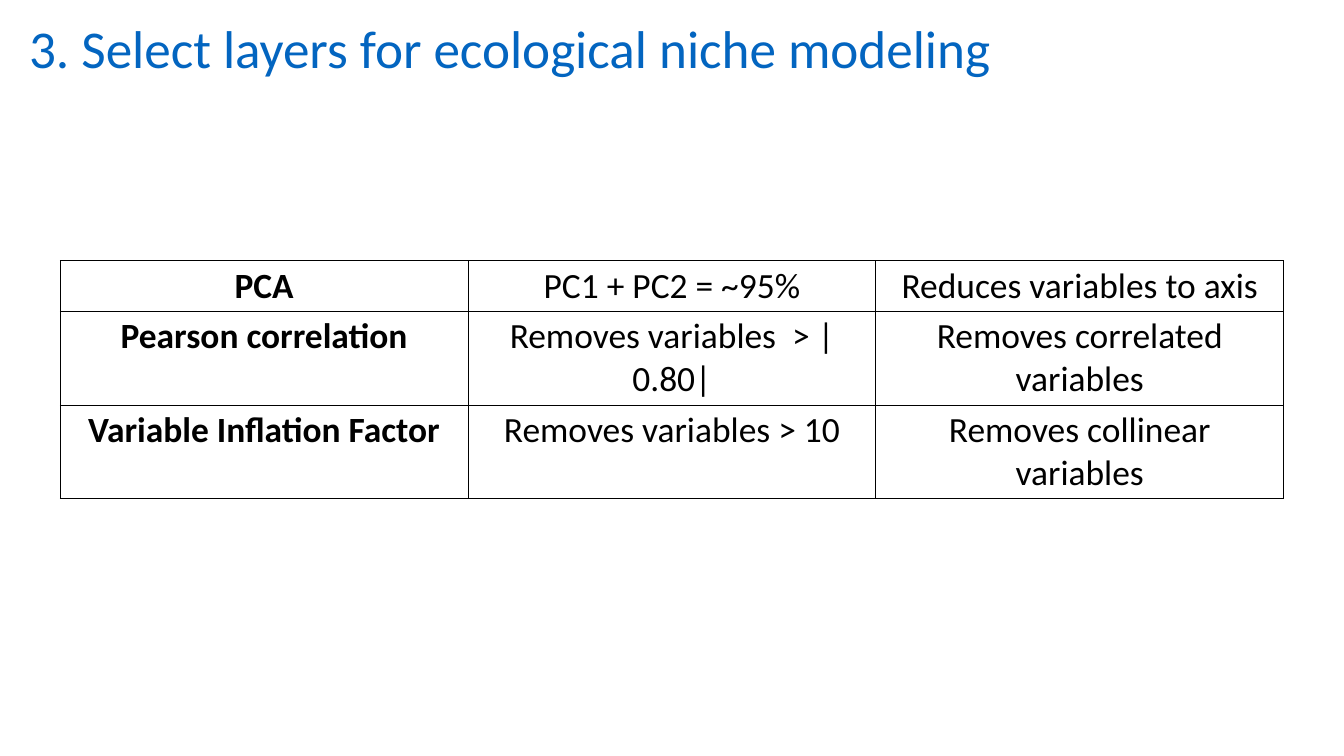
from lxml.etree import SubElement
from pptx import Presentation
from pptx.dml.color import RGBColor
from pptx.enum.text import MSO_ANCHOR, MSO_AUTO_SIZE, PP_ALIGN
from pptx.oxml.ns import qn
from pptx.util import Inches, Pt

BLACK = RGBColor(0x00, 0x00, 0x00)
BLUE = RGBColor(0x03, 0x65, 0xC0)

METHODS = [
    ("PCA", "PC1 + PC2 = ~95%", "Reduces variables to axis"),
    ("Pearson correlation", "Removes variables  > |0.80|", "Removes correlated variables"),
    ("Variable Inflation Factor", "Removes variables > 10", "Removes collinear variables"),
]


def write(frame, text, size=36, color=BLACK, bold=False):
    para = frame.paragraphs[0]
    para.alignment = PP_ALIGN.CENTER
    span = para.add_run()
    span.text = text
    span.font.name = "Calibri"
    span.font.size = Pt(size)
    span.font.bold = bold
    span.font.color.rgb = color


def add_borders(cell, color=BLACK, width=1):
    properties = cell._tc.get_or_add_tcPr()
    for side in ("a:lnL", "a:lnR", "a:lnT", "a:lnB"):
        line = SubElement(properties, qn(side), w=str(Pt(width)))
        fill = SubElement(line, qn("a:solidFill"))
        SubElement(fill, qn("a:srgbClr"), val=str(color))


deck = Presentation()
deck.slide_width = Inches(18.96)
deck.slide_height = Inches(10.67)
page = deck.slides.add_slide(deck.slide_layouts[6])

table = page.shapes.add_table(
    len(METHODS), 3, Inches(0.85), Inches(3.68), Inches(17.26), Inches(1.23)
).table
table.first_row = False
table.horz_banding = False
for row, method in enumerate(METHODS):
    for column, text in enumerate(method):
        cell = table.cell(row, column)
        add_borders(cell)
        cell.fill.background()
        write(cell.text_frame, text, bold=column == 0)

title = page.shapes.add_textbox(Inches(0.25), Inches(0.15), Inches(13.89), Inches(1.02))
frame = title.text_frame
frame.word_wrap = False
frame.auto_size = MSO_AUTO_SIZE.SHAPE_TO_FIT_TEXT
frame.vertical_anchor = MSO_ANCHOR.MIDDLE
frame.margin_left = frame.margin_right = Inches(0.06)
frame.margin_top = frame.margin_bottom = Inches(0.06)
write(frame, "3. Select layers for ecological niche modeling", size=54, color=BLUE)

deck.save("out.pptx")
